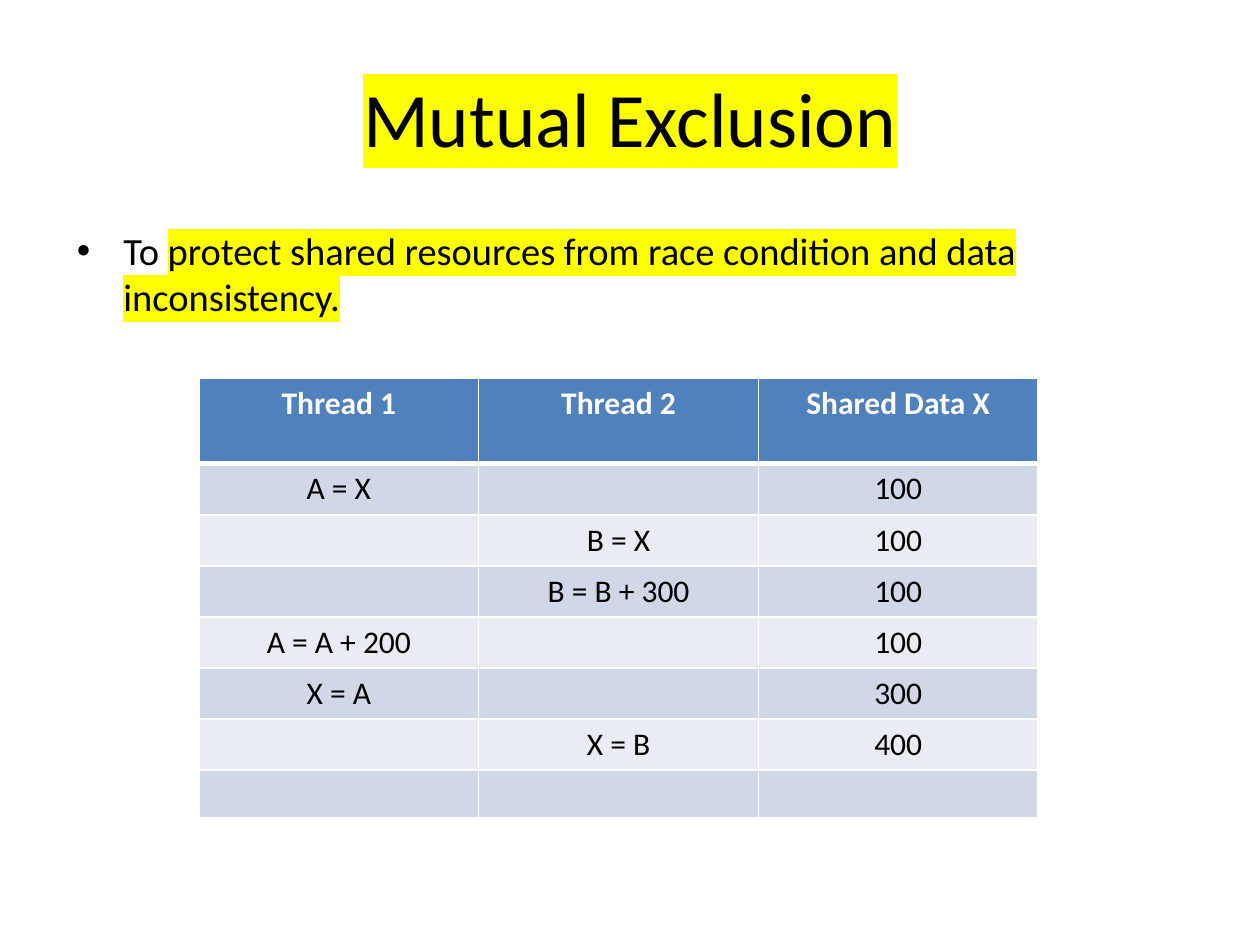
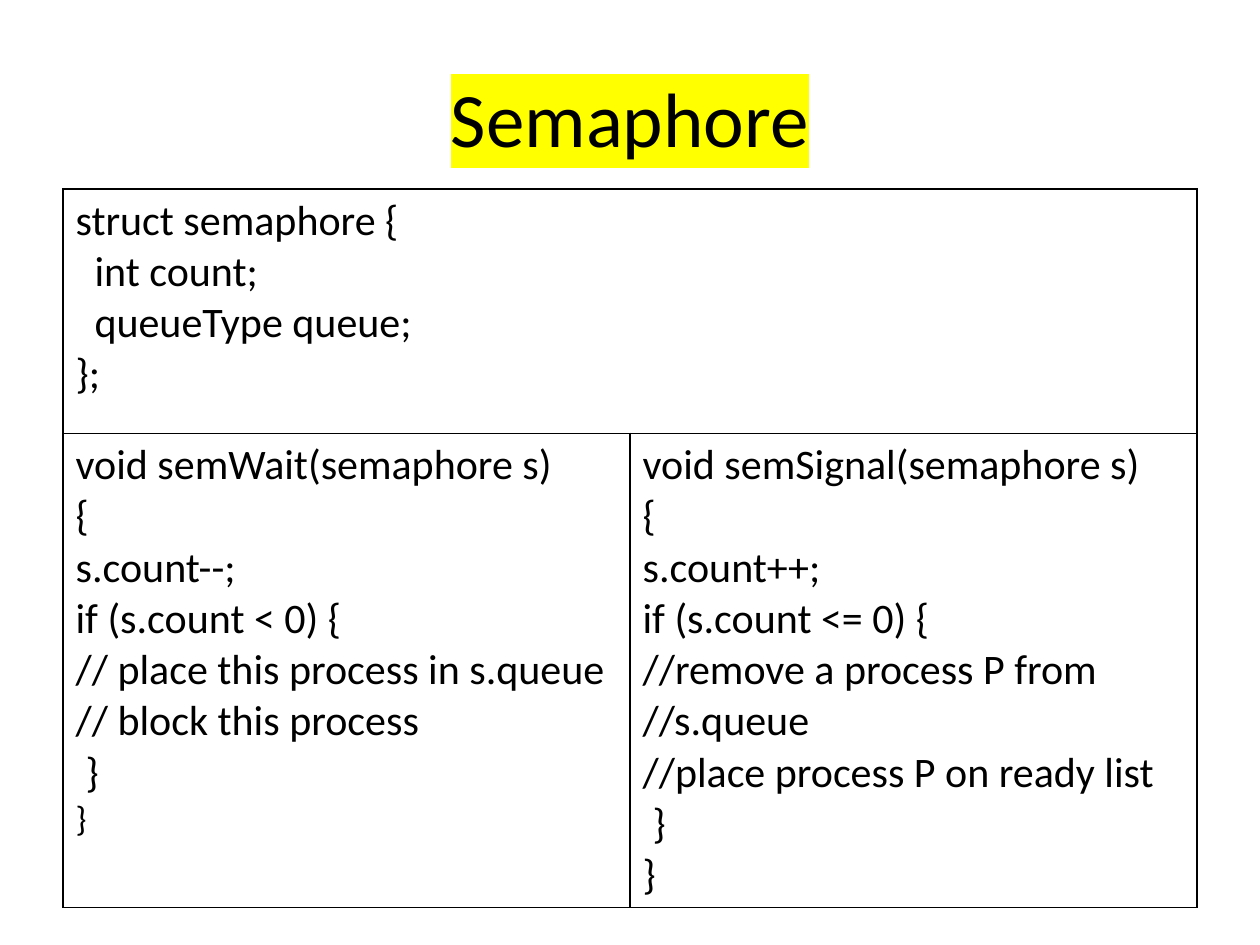
"""Build two slides on mutual exclusion and semaphores."""

from dataclasses import dataclass

from pptx import Presentation
from pptx.dml.color import RGBColor
from pptx.enum.text import MSO_ANCHOR as Anchor, PP_ALIGN as Align
from pptx.oxml.ns import qn
from pptx.util import Inches, Pt
from lxml.etree import SubElement, Element

COLORS = {
    "ink": "000000",
    "paper": "FFFFFF",
    "marker": "FFFF00",
    "header": "4F81BD",
    "odd_row": "D0D8E7",
    "even_row": "E9ECF3",
}
FONT = "Calibri"
THIN, THICK = 0.96, 3
TITLE_ONLY, TITLE_AND_BODY = 5, 1


@dataclass(frozen=True)
class Box:
    left: float
    top: float
    width: float
    height: float

    def lengths(self) -> tuple:
        return tuple(map(Inches, (self.left, self.top, self.width, self.height)))


@dataclass(frozen=True)
class CodeLine:
    text: str
    indent: float = 0
    size: int = 24


TITLE_BOX = Box(0.5, 0.3, 9, 1.25)
GOAL_BOX = Box(0.5, 1.75, 9, 1.25)
THREADS_BOX = Box(1.58, 3, 6.66, 3.4)
CODE_BOX = Box(0.5, 1.5, 9, 5.67)

THREAD_STEPS = [
    ("Thread 1", "Thread 2", "Shared Data X"),
    ("A = X", "", "100"),
    ("", "B = X", "100"),
    ("", "B = B + 300", "100"),
    ("A = A + 200", "", "100"),
    ("X = A", "", "300"),
    ("", "X = B", "400"),
    ("", "", ""),
]
STRUCT_CODE = [
    CodeLine("struct semaphore {"),
    CodeLine("int count;", 0.15),
    CodeLine("queueType queue;", 0.15),
    CodeLine("};"),
]
WAIT_CODE = [
    CodeLine("void semWait(semaphore s)"),
    CodeLine("{"),
    CodeLine("s.count--;"),
    CodeLine("if (s.count < 0) {"),
    CodeLine("// place this process in s.queue"),
    CodeLine("// block this process"),
    CodeLine("}", 0.08),
    CodeLine("}", size=20),
]
SIGNAL_CODE = [
    CodeLine("void semSignal(semaphore s)"),
    CodeLine("{"),
    CodeLine("s.count++;"),
    CodeLine("if (s.count <= 0) {"),
    CodeLine("//remove a process P from //s.queue"),
    CodeLine("//place process P on ready list"),
    CodeLine("}", 0.08),
    CodeLine("}"),
]


def style_run(run, size: float, color: str = "ink", bold: bool = False, marked: bool = False) -> None:
    run.font.name = FONT
    run.font.size = Pt(size)
    run.font.bold = bold
    run.font.color.rgb = RGBColor.from_string(COLORS[color])
    if marked:
        highlight = Element(qn("a:highlight"))
        SubElement(highlight, qn("a:srgbClr"), val=COLORS["marker"])
        run.font._element.find(qn("a:solidFill")).addnext(highlight)


def set_indent(paragraph, left: float, first: float = 0):
    properties = paragraph._p.get_or_add_pPr()
    properties.set("marL", str(Inches(left)))
    properties.set("indent", str(Inches(first)))
    return properties


def place(placeholder, box: Box) -> None:
    placeholder.left, placeholder.top, placeholder.width, placeholder.height = box.lengths()


def add_titled_slide(deck, layout: int, title: str):
    slide = deck.slides.add_slide(deck.slide_layouts[layout])
    heading = slide.shapes.title
    place(heading, TITLE_BOX)
    heading.text_frame.text = title
    heading.text_frame.vertical_anchor = Anchor.MIDDLE
    paragraph = heading.text_frame.paragraphs[0]
    paragraph.alignment = Align.CENTER
    style_run(paragraph.runs[0], 44, marked=True)
    return slide


def add_goal(slide, lead: str, key_phrase: str) -> None:
    body = slide.placeholders[1]
    place(body, GOAL_BOX)
    paragraph = body.text_frame.paragraphs[0]
    for text, marked in ((lead, False), (key_phrase, True)):
        run = paragraph.add_run()
        run.text = text
        style_run(run, 22, marked=marked)
    paragraph.space_before = Pt(6.4)
    properties = set_indent(paragraph, 0.38, -0.37)
    SubElement(SubElement(properties, qn("a:buClr")), qn("a:srgbClr"), val=COLORS["ink"])
    SubElement(properties, qn("a:buFont"), typeface="Arial")
    SubElement(properties, qn("a:buChar"), char="•")


def add_plain_table(slide, box: Box, row_heights: list[float], columns: int):
    table = slide.shapes.add_table(len(row_heights), columns, *box.lengths()).table
    table.first_row = table.horz_banding = False
    for column in table.columns:
        column.width = Inches(box.width / columns)
    for row, height in zip(table.rows, row_heights):
        row.height = Inches(height)
    return table


def set_borders(cell, color: str, top: float = THIN, bottom: float = THIN) -> None:
    properties = cell._tc.get_or_add_tcPr()
    for side, width in (("L", THIN), ("R", THIN), ("T", top), ("B", bottom)):
        line = SubElement(properties, qn(f"a:ln{side}"), w=str(Pt(width)))
        SubElement(SubElement(line, qn("a:solidFill")), qn("a:srgbClr"), val=COLORS[color])


def add_thread_table(slide) -> None:
    heights = [0.68] + [0.39] * 6 + [0.38]
    table = add_plain_table(slide, THREADS_BOX, heights, 3)
    for row, step in enumerate(THREAD_STEPS):
        is_header = row == 0
        fill = "header" if is_header else "odd_row" if row % 2 else "even_row"
        for column, text in enumerate(step):
            cell = table.cell(row, column)
            set_borders(cell, "paper", THICK if row == 1 else THIN, THICK if is_header else THIN)
            cell.fill.solid()
            cell.fill.fore_color.rgb = RGBColor.from_string(COLORS[fill])
            if not text:
                cell.margin_top = cell.margin_bottom = Inches(0.03)
                continue
            cell.text_frame.text = text
            paragraph = cell.text_frame.paragraphs[0]
            paragraph.alignment = Align.CENTER
            style_run(paragraph.runs[0], 18, "paper" if is_header else "ink", is_header)


def write_code(cell, lines: list[CodeLine]) -> None:
    cell.text_frame.text = "\n".join(line.text for line in lines)
    for paragraph, line in zip(cell.text_frame.paragraphs, lines):
        set_indent(paragraph, line.indent)
        style_run(paragraph.runs[0], line.size)


def add_code_table(slide) -> None:
    table = add_plain_table(slide, CODE_BOX, [1.94, 3.73], 2)
    for cell in table.iter_cells():
        set_borders(cell, "ink")
        cell.fill.background()
    table.cell(0, 0).merge(table.cell(0, 1))
    write_code(table.cell(0, 0), STRUCT_CODE)
    write_code(table.cell(1, 0), WAIT_CODE)
    write_code(table.cell(1, 1), SIGNAL_CODE)


def main() -> None:
    deck = Presentation()
    deck.slide_width, deck.slide_height = Inches(10), Inches(7.5)

    exclusion = add_titled_slide(deck, TITLE_AND_BODY, "Mutual Exclusion")
    add_goal(exclusion, "To ", "protect shared resources from race condition and data inconsistency.")
    add_thread_table(exclusion)

    semaphore = add_titled_slide(deck, TITLE_ONLY, "Semaphore")
    add_code_table(semaphore)

    deck.save("out.pptx")


main()
